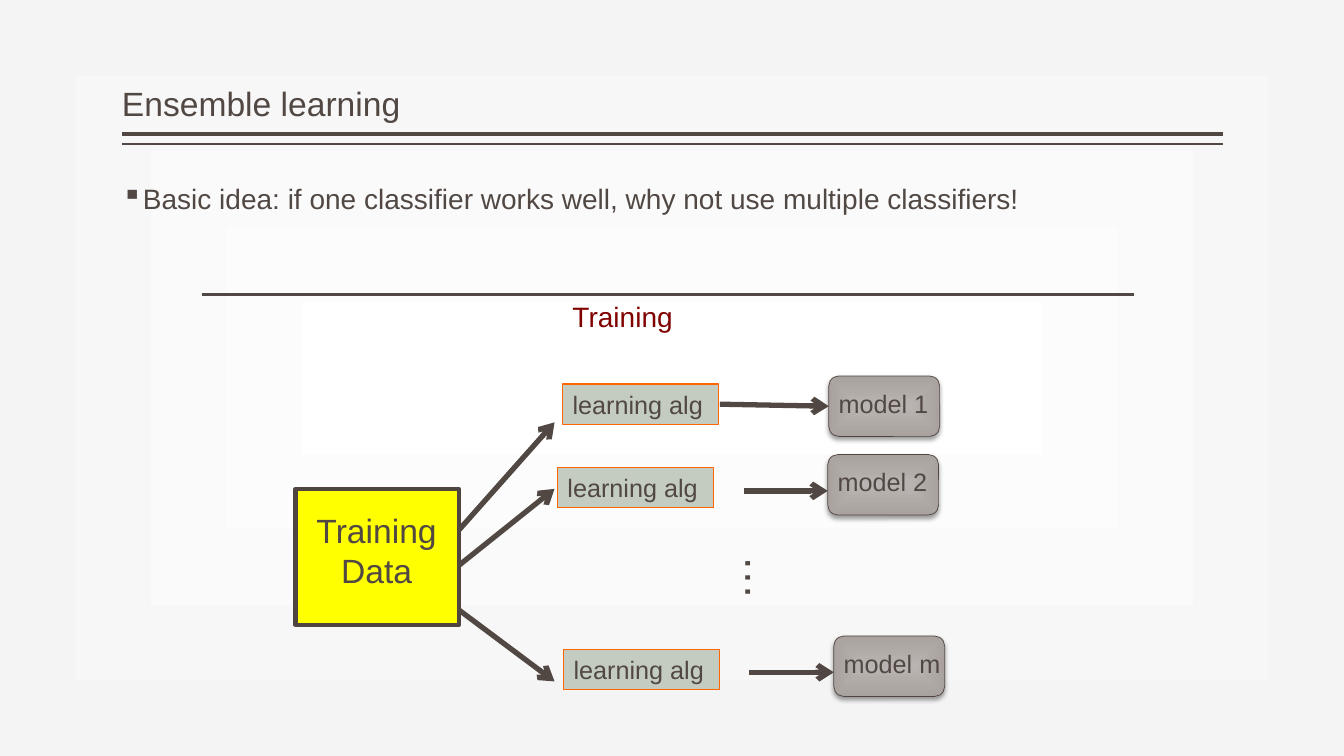
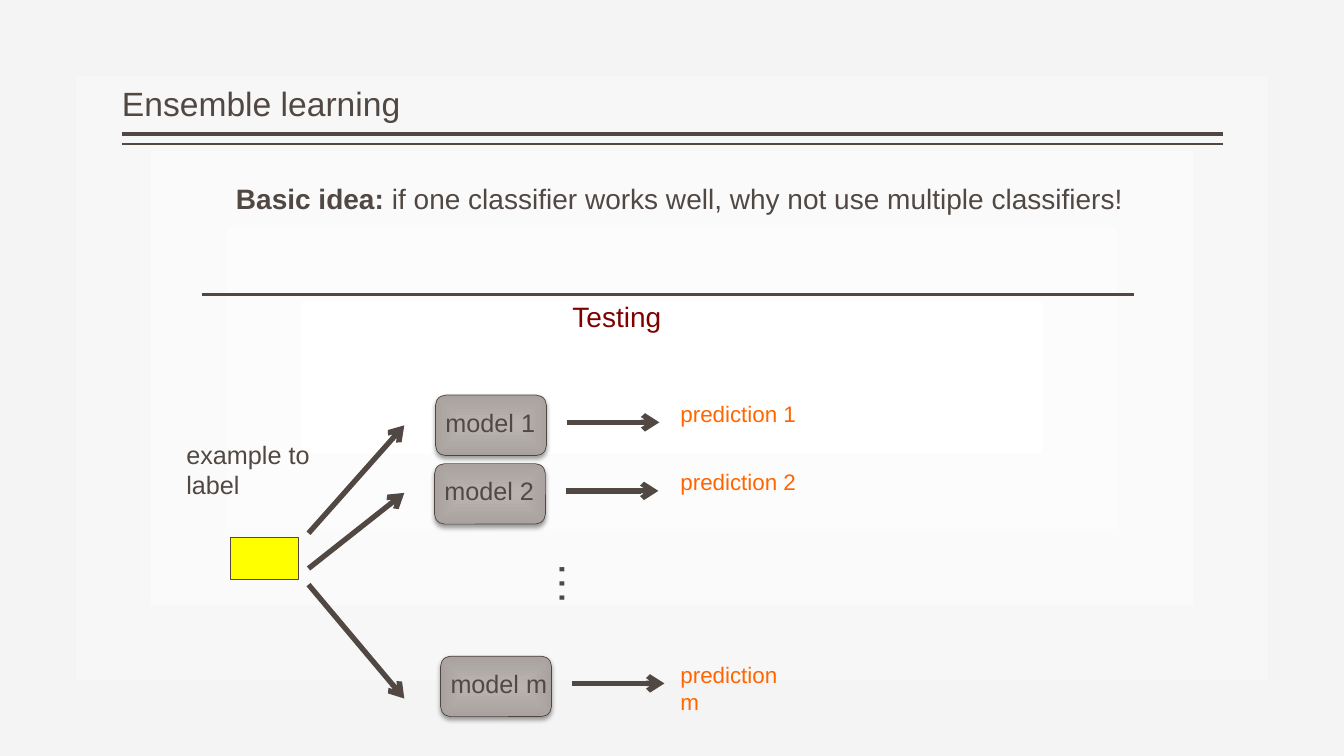
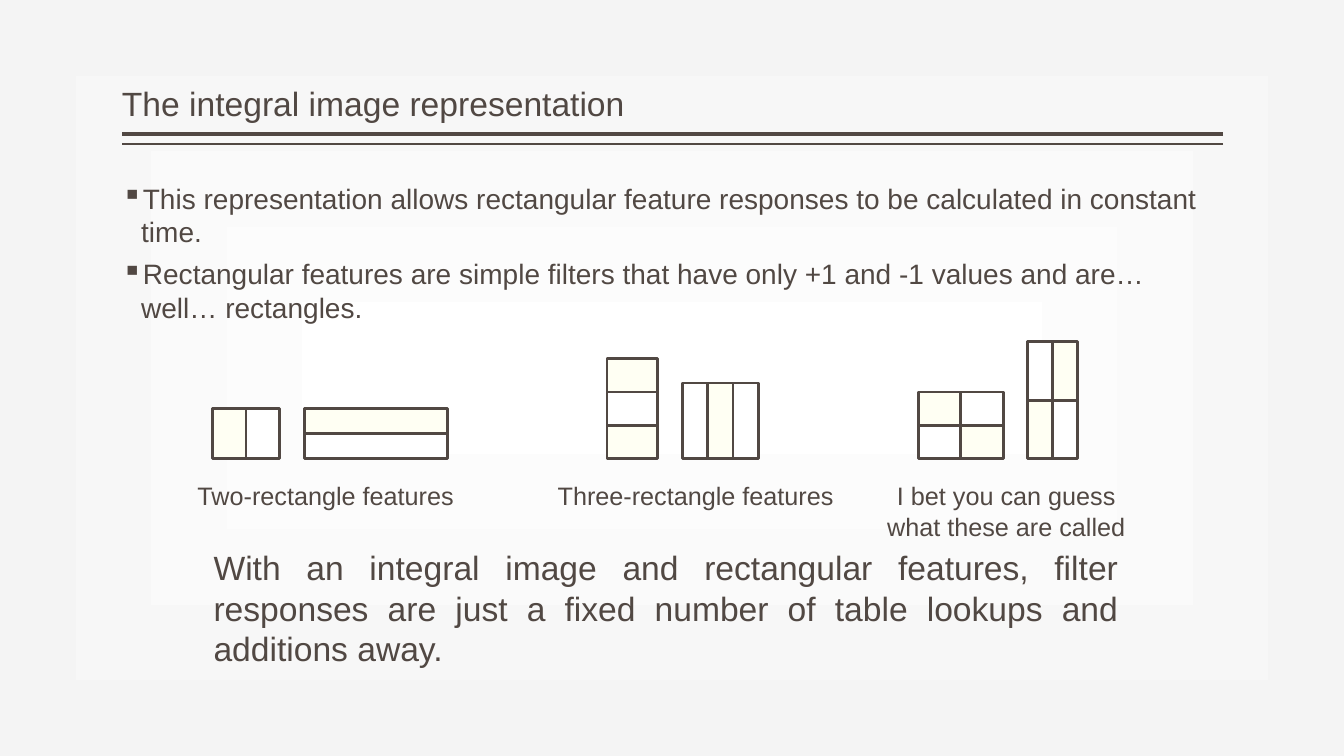
from lxml import etree
from pptx import Presentation
from pptx.dml.color import RGBColor
from pptx.enum.shapes import MSO_CONNECTOR, MSO_SHAPE
from pptx.enum.text import MSO_ANCHOR, PP_ALIGN
from pptx.oxml import parse_xml
from pptx.oxml.ns import nsdecls, qn
from pptx.util import Inches, Pt

RECTANGLE, ROUNDED = MSO_SHAPE.RECTANGLE, MSO_SHAPE.ROUNDED_RECTANGLE
STRAIGHT = MSO_CONNECTOR.STRAIGHT
TOP, BOTTOM = MSO_ANCHOR.TOP, MSO_ANCHOR.BOTTOM
LEFT, CENTER, JUSTIFY = PP_ALIGN.LEFT, PP_ALIGN.CENTER, PP_ALIGN.JUSTIFY
FONT = "Arial"
INK, EDGE, WHITE, CREAM = "514843", "504641", "FFFFFF", "FFFFF3"
YELLOW, ORANGE, MAROON, SAGE = "FFFF00", "FF6600", "800000", "C4CCC1"


def rgb(value):
    return RGBColor.from_string(value)


def set_gradient(owner, inner, outer, inset, alpha=100):
    solid = owner.find(".//" + qn("a:solidFill"))
    gradient = parse_xml(
        f'<a:gradFill {nsdecls("a")} rotWithShape="1"><a:gsLst>'
        f'<a:gs pos="0"><a:srgbClr val="{inner}"/></a:gs>'
        f'<a:gs pos="100000"><a:srgbClr val="{outer}">'
        f'<a:alpha val="{alpha * 1000}"/></a:srgbClr></a:gs></a:gsLst>'
        f'<a:path path="rect"><a:fillToRect l="{inset}" t="{inset}" '
        f'r="{inset}" b="{inset}"/></a:path></a:gradFill>')
    solid.getparent().replace(solid, gradient)


def write(frame, *paragraphs, size=18, color=INK, align=LEFT, anchor=TOP,
          wrap=True, side=0.1, lead="", bullet=False, spacing=None):
    frame.word_wrap = wrap
    frame.vertical_anchor = anchor
    frame.margin_left = frame.margin_right = Inches(side)
    for index, content in enumerate(paragraphs):
        paragraph = frame.paragraphs[0] if index == 0 else frame.add_paragraph()
        if bullet:
            properties = paragraph._p.get_or_add_pPr()
            properties.set("marL", str(Inches(0.19)))
            properties.set("indent", str(Inches(-0.19)))
            etree.SubElement(properties, qn("a:buChar")).set("char", "▪")
            if index:
                paragraph.space_before = Pt(6)
        paragraph.alignment = align
        if spacing:
            paragraph.line_spacing = spacing
        for words, bold in ((lead, True), (content, False)):
            if words:
                run = paragraph.add_run()
                run.text = words
                run.font.name, run.font.size, run.font.bold = FONT, Pt(size), bold
                run.font.color.rgb = rgb(color)


class Deck:
    """Holds the shared style and the slide being drawn."""

    def __init__(self):
        self.presentation = Presentation()
        self.presentation.slide_width = Inches(13.33)
        self.presentation.slide_height = Inches(7.5)
        master = self.presentation.slide_master
        master.background.fill.solid()
        master.background.fill.fore_color.rgb = rgb(WHITE)
        set_gradient(master.element, WHITE, "F4F4F4", 5000, alpha=80)

    def new_slide(self, title):
        self.slide = self.presentation.slides.add_slide(
            self.presentation.slide_layouts[6])
        self.line(12.13, 1.33, 1.21, 1.33, 3)
        self.line(12.13, 1.43, 1.21, 1.43, 1)
        self.text(1.21, 0.08, 10.92, 1.2, title, size=24, anchor=BOTTOM,
                  side=0, spacing=0.9)

    def text(self, x, y, width, height, *paragraphs, rotation=0, **style):
        box = self.slide.shapes.add_textbox(
            Inches(x), Inches(y), Inches(width), Inches(height))
        box.rotation = rotation
        write(box.text_frame, *paragraphs, **style)

    def bullets(self, *paragraphs):
        self.text(1.21, 1.75, 10.92, 5, *paragraphs, size=20, side=0, bullet=True)

    def shape(self, x, y, width, height, fill, edge=INK, weight=0.75,
              kind=RECTANGLE):
        shape = self.slide.shapes.add_shape(
            kind, Inches(x), Inches(y), Inches(width), Inches(height))
        shape.shadow.inherit = False
        shape.fill.solid()
        shape.fill.fore_color.rgb = rgb(fill)
        shape.line.color.rgb = rgb(edge)
        shape.line.width = Pt(weight)
        return shape

    def line(self, x1, y1, x2, y2, weight):
        line = self.slide.shapes.add_connector(
            STRAIGHT, Inches(x1), Inches(y1), Inches(x2), Inches(y2))
        line.line.color.rgb = rgb(INK)
        line.line.width = Pt(weight)
        properties = line._element.spPr
        etree.SubElement(properties, qn("a:effectLst"))
        return properties.find(qn("a:ln"))

    def arrow(self, x1, y1, x2, y2):
        outline = self.line(x1, y1, x2, y2, 3.78)
        etree.SubElement(outline, qn("a:tailEnd")).set("type", "arrow")

    def phase(self, name):
        self.line(2, 2.92, 11.25, 2.92, 2.25)
        self.text(5.58, 2.92, 1.2, 0.44, name, size=20, color=MAROON, wrap=False)

    def model(self, x, y, label):
        card = self.shape(x, y, 1.1, 0.6, "B9B4B1", EDGE, 0.5, ROUNDED)
        properties = card._element.spPr
        set_gradient(properties, "B9B4B1", "A9A29E", 50000)
        properties.find(qn("a:effectLst")).append(parse_xml(
            f'<a:outerShdw {nsdecls("a")} blurRad="{Pt(3.5)}" dist="{Pt(2)}" '
            'dir="5400000" rotWithShape="0"><a:srgbClr val="000000">'
            '<a:alpha val="38000"/></a:srgbClr></a:outerShdw>'))
        self.text(x, y + 0.07, 1.17, 0.4, label, wrap=False)

    def learner(self, x, y):
        box = self.shape(x, y, 1.55, 0.4, SAGE, ORANGE)
        write(box.text_frame, "learning alg", wrap=False)

    def ellipsis(self, x, y):
        self.text(x, y, 0.65, 0.64, "…", size=32, rotation=90, wrap=False)

    def feature(self, x, columns, rows, width, height, shaded=0, base=4.55):
        top = base - rows * height
        for row in range(rows):
            for column in range(columns):
                fill = CREAM if (row + column) % 2 == shaded else WHITE
                self.shape(x + column * width, top + row * height,
                           width, height, fill, weight=2)


def training_slide(deck):
    deck.new_slide("Ensemble learning")
    deck.bullets("Basic idea: if one classifier works well, "
                 "why not use multiple classifiers!")
    deck.phase("Training")
    deck.shape(2.93, 4.85, 1.62, 1.35, YELLOW, EDGE, 3)
    deck.text(2.92, 5.01, 1.63, 0.91, "Training", "Data", size=24, align=CENTER)
    for start, end in ((5.26, 4.19), (5.61, 4.85), (6.05, 6.76)):
        deck.arrow(4.55, start, 5.5, end)
    for name, learner_x, learner_y, model_x, model_y in (
            ("1", 5.58, 3.81, 8.22, 3.73),
            ("2", 5.53, 4.64, 8.21, 4.51),
            ("m", 5.59, 6.44, 8.27, 6.31)):
        deck.learner(learner_x, learner_y)
        deck.model(model_x, model_y, f"model {name}")
    deck.arrow(7.14, 4.01, 8.22, 4.03)
    deck.arrow(7.38, 4.87, 8.21, 4.87)
    deck.arrow(7.43, 6.67, 8.27, 6.67)
    deck.ellipsis(7.24, 5.42)


def testing_slide(deck):
    deck.new_slide("Ensemble learning")
    deck.text(2.34, 1.75, 8.92, 1.17,
              "if one classifier works well, why not use multiple classifiers!",
              lead="Basic idea: ", size=20, side=0)
    deck.phase("Testing")
    deck.shape(2.29, 5.33, 0.67, 0.42, YELLOW)
    deck.text(1.75, 4.31, 1.9, 0.71, "example to label")
    for start, end in ((5.29, 4.22), (5.64, 4.89), (5.8, 6.93)):
        deck.arrow(3.06, start, 4.01, end)
    for name, x, y in (("1", 4.32, 3.92), ("2", 4.31, 4.6), ("m", 4.37, 6.51)):
        deck.model(x, y, f"model {name}")
        deck.arrow(x + 1.3, y + 0.27, x + 2.22, y + 0.27)
        deck.text(6.65, y, 1.38, 0.37, f"prediction {name}", size=16,
                  color=ORANGE, wrap=False)
    deck.ellipsis(5.4, 5.48)


def integral_image_slide(deck):
    deck.new_slide("The integral image representation")
    deck.bullets(
        "This representation allows rectangular feature responses to be "
        "calculated in constant time.",
        "Rectangular features are simple filters that have only +1 and -1 "
        "values and are… well… rectangles.")
    deck.feature(2.11, 2, 1, 0.33, 0.5)
    deck.feature(3.02, 1, 2, 1.42, 0.25)
    deck.feature(6.02, 1, 3, 0.5, 0.33)
    deck.feature(6.77, 3, 1, 0.25, 0.75, shaded=1)
    deck.feature(9.11, 2, 2, 0.42, 0.33)
    deck.feature(10.19, 2, 2, 0.25, 0.58, shaded=1)
    for x, width, caption in (
            (1.77, 2.92, "Two-rectangle features"),
            (5.36, 3.08, "Three-rectangle features"),
            (8.52, 2.92, "I bet you can guess what these are called")):
        deck.text(x, 4.72, width, 0.7, caption, align=CENTER)
    deck.text(2.02, 5.38, 9.17, 1.31,
              "With an integral image and rectangular features, filter responses "
              "are just a fixed number of table lookups and additions away.",
              size=24, align=JUSTIFY)


def main():
    deck = Deck()
    training_slide(deck)
    testing_slide(deck)
    integral_image_slide(deck)
    deck.presentation.save("out.pptx")


if __name__ == "__main__":
    main()
